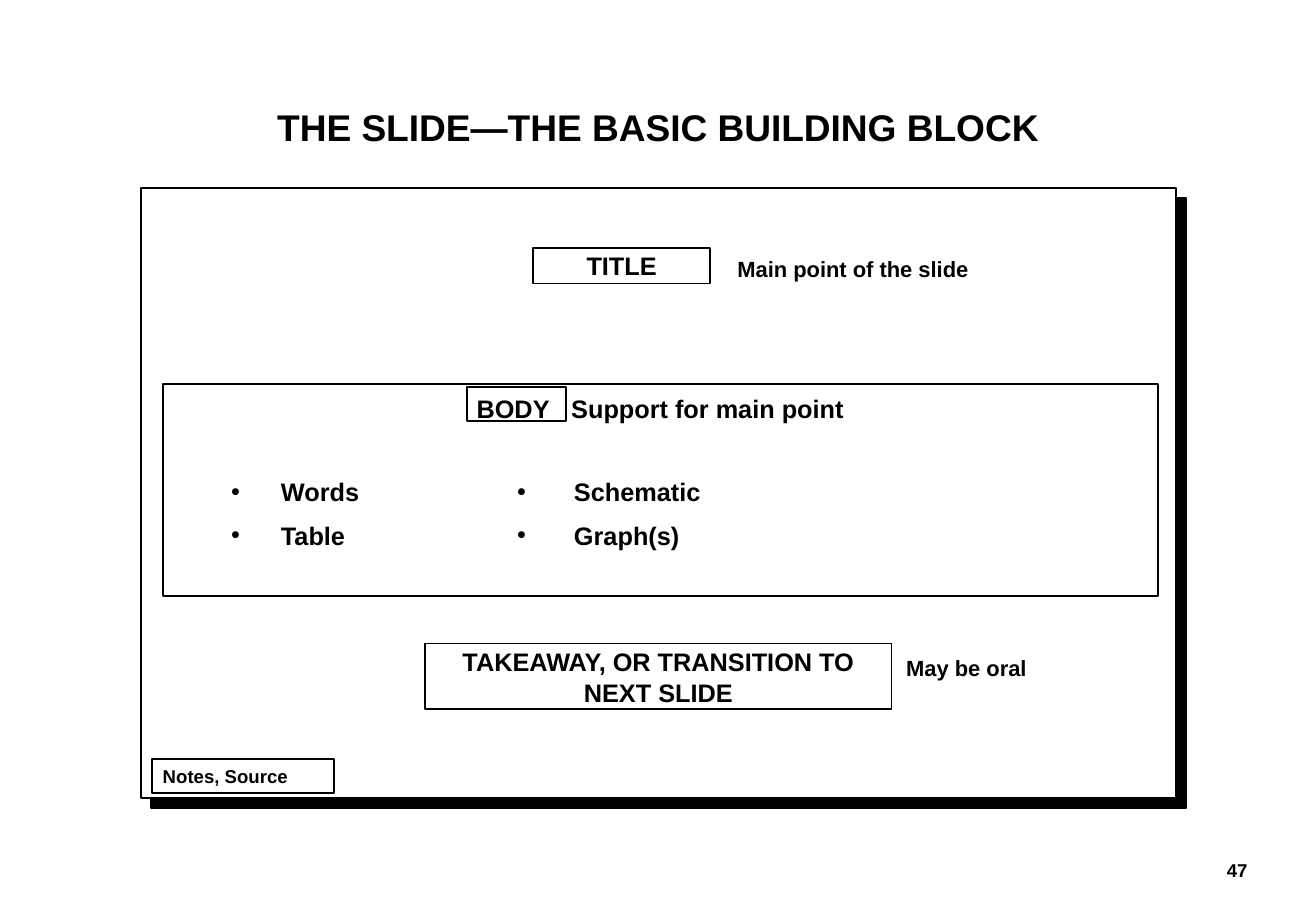
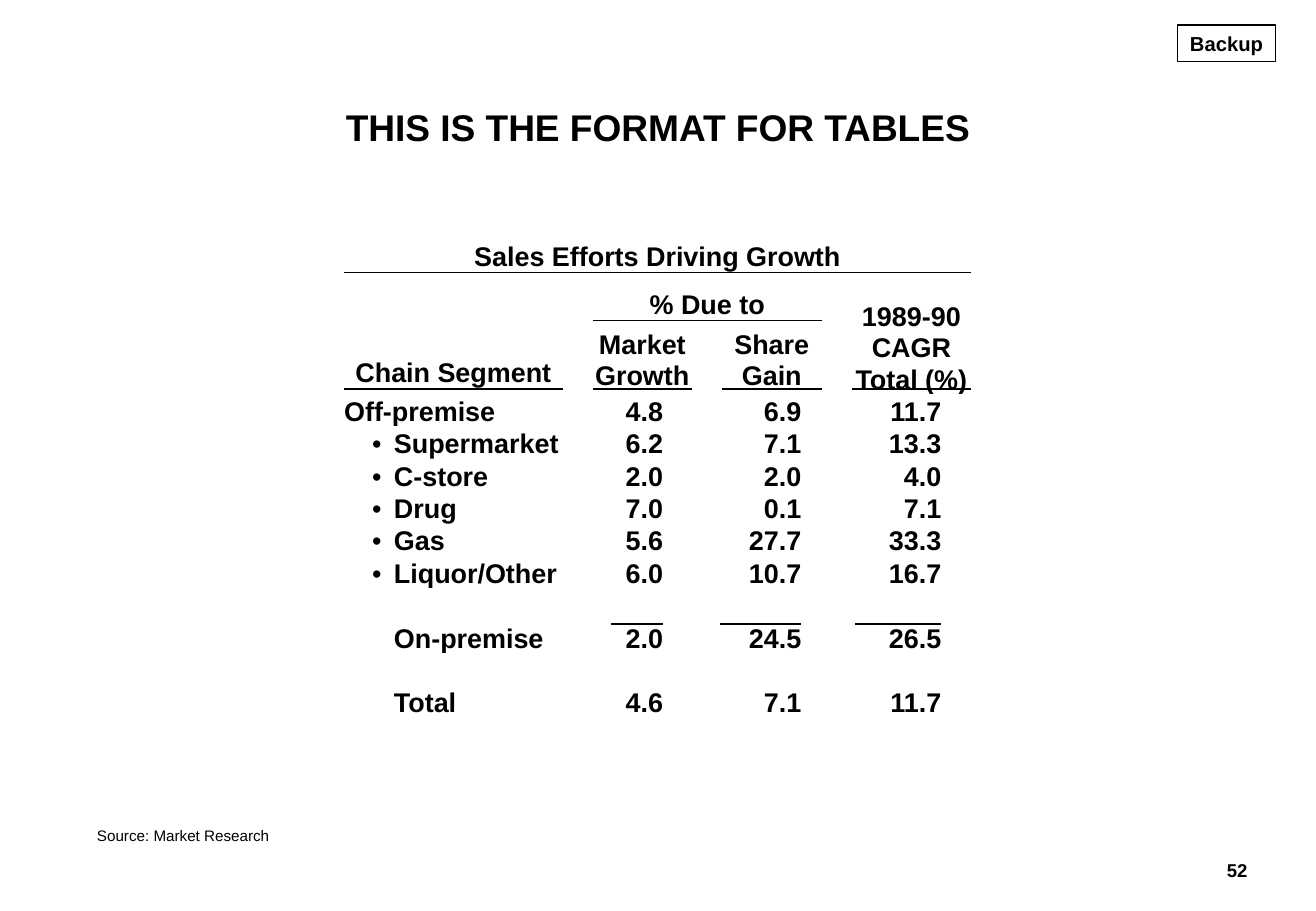
from lxml import etree
from pptx import Presentation
from pptx.dml.color import RGBColor
from pptx.enum.shapes import MSO_CONNECTOR, MSO_SHAPE
from pptx.enum.text import MSO_ANCHOR, MSO_AUTO_SIZE, PP_ALIGN
from pptx.oxml.ns import qn
from pptx.util import Pt

RECTANGLE = MSO_SHAPE.RECTANGLE
STRAIGHT = MSO_CONNECTOR.STRAIGHT
LEFT, CENTER, RIGHT = PP_ALIGN.LEFT, PP_ALIGN.CENTER, PP_ALIGN.RIGHT
TOP, MIDDLE, BOTTOM = MSO_ANCHOR.TOP, MSO_ANCHOR.MIDDLE, MSO_ANCHOR.BOTTOM
NO_FIT = MSO_AUTO_SIZE.NONE

INK = "000000"
PAPER = "FFFFFF"
FONT = "Arial"
SLIDE_WIDTH, SLIDE_HEIGHT = 780, 540
TITLE_TOP, TITLE_HEIGHT = 60, 30
TWO_CONTENT, TITLE_ONLY = 3, 5

COLUMN_WIDTHS = [138.5, 76.5, 77, 79.5]
ROW_HEIGHTS = [23.5, 28.5, 44] + [19.2] * 6 + [38.4] * 2
GUTTER = 9
NUMBER_MARGINS = [26, 21, 17.5]
RULE_WIDTHS = [31, 48, 51]
TABLE_INDENT, BULLET_HANG = 29.5, 13
SEGMENTS = [
    ("Off-premise", "4.8", "6.9", "11.7"),
    ("Supermarket", "6.2", "7.1", "13.3"),
    ("C-store", "2.0", "2.0", "4.0"),
    ("Drug", "7.0", "0.1", "7.1"),
    ("Gas", "5.6", "27.7", "33.3"),
    ("Liquor/Other", "6.0", "10.7", "16.7"),
    ("On-premise", "2.0", "24.5", "26.5"),
    ("Total", "4.6", "7.1", "11.7"),
]
BULLETED = SEGMENTS[1:6]


def color(code):
    """Turn a hex string into a colour."""
    return RGBColor.from_string(code)


def set_all(target, values):
    """Set every attribute in a dict of format values."""
    for name, value in values.items():
        setattr(target, name, value)


def indent(para, left, hang=0, bullet=False):
    """Indent a paragraph, with a hanging bullet if asked."""
    properties = para._p.get_or_add_pPr()
    properties.set("marL", str(Pt(left)))
    properties.set("indent", str(-Pt(hang)))
    if bullet:
        etree.SubElement(properties, qn("a:buFont")).set("typeface", FONT)
        etree.SubElement(properties, qn("a:buChar")).set("char", "•")


def write(para, text, size, align=LEFT, bold=True, spacing=1.0, before=0):
    """Write one formatted span into a paragraph."""
    set_all(para, {"alignment": align, "line_spacing": spacing,
                   "space_before": Pt(before), "space_after": Pt(0)})
    span = para.add_run()
    span.text = text
    set_all(span.font, {"name": FONT, "size": Pt(size), "bold": bold})
    span.font.color.rgb = color(INK)


def prepare(frame, anchor=MIDDLE, inset=3.6, top_inset=0):
    """Set the wrapping, anchor and insets of a text frame."""
    set_all(frame, {"word_wrap": True, "auto_size": NO_FIT, "vertical_anchor": anchor,
                    "margin_left": Pt(inset), "margin_right": Pt(inset),
                    "margin_top": Pt(top_inset), "margin_bottom": Pt(0)})


def place(shape, left, top, width, height):
    """Move and size a shape."""
    set_all(shape, {"left": Pt(left), "top": Pt(top),
                    "width": Pt(width), "height": Pt(height)})


def add_box(page, left, top, width, height, fill=None):
    """Add an outlined rectangle."""
    box = page.shapes.add_shape(RECTANGLE, Pt(left), Pt(top), Pt(width), Pt(height))
    box.shadow.inherit = False
    if fill:
        box.fill.solid()
        box.fill.fore_color.rgb = color(fill)
    else:
        box.fill.background()
    box.line.color.rgb = color(INK)
    box.line.width = Pt(1)
    return box


def add_boxed_text(page, bounds, text, size, align=CENTER, spacing=1.0, **frame_values):
    """Add an outlined rectangle with text."""
    frame = add_box(page, *bounds).text_frame
    prepare(frame, **frame_values)
    write(frame.paragraphs[0], text, size, align, spacing=spacing)


def add_label(page, bounds, text, size, align=LEFT, bold=True, inset=3.6):
    """Add a plain text box."""
    frame = page.shapes.add_textbox(*map(Pt, bounds)).text_frame
    prepare(frame, inset=inset)
    write(frame.paragraphs[0], text, size, align, bold)


def add_rule(page, start, end, y):
    """Add a thin horizontal line."""
    rule = page.shapes.add_connector(STRAIGHT, Pt(start), Pt(y), Pt(end), Pt(y))
    rule.line.color.rgb = color(INK)
    rule.line.width = Pt(1)
    etree.SubElement(rule._element.spPr, qn("a:effectLst"))


def add_page(deck, layout, title, title_width, number):
    """Add a slide with its title and page number."""
    page = deck.slides.add_slide(deck.slide_layouts[layout])
    heading = page.shapes.title
    place(heading, (SLIDE_WIDTH - title_width) / 2, TITLE_TOP, title_width, TITLE_HEIGHT)
    prepare(heading.text_frame)
    write(heading.text_frame.paragraphs[0], title, 22, CENTER)
    add_label(page, (692, 507, 51, 18), number, 11, RIGHT)
    return page


def add_frame(page, left, top, width, height):
    """Add the model slide's outline with its hard shadow, behind all else."""
    frame = add_box(page, left, top, width, height, PAPER)
    effects = frame._element.spPr.find(qn("a:effectLst"))
    shadow = etree.SubElement(effects, qn("a:outerShdw"), dist=str(Pt(8.5)),
                              dir="2700000", algn="ctr", rotWithShape="0")
    etree.SubElement(shadow, qn("a:srgbClr"), val=INK)
    page.shapes.element.insert(2, frame._element)


def fill_list(holder, bounds, items, hang):
    """Place a body placeholder and fill it with bullets."""
    place(holder, *bounds)
    frame = holder.text_frame
    prepare(frame, TOP, 0)
    for position, item in enumerate(items):
        para = frame.add_paragraph() if position else frame.paragraphs[0]
        indent(para, hang, hang, True)
        write(para, item, 15, before=7.7 if position else 0)


def add_body_region(page, left, top, width, height):
    """Add the body box with its heading and two lists."""
    add_box(page, left, top, width, height)
    add_boxed_text(page, (left + 180.5, top + 2, 58.5, 20), "BODY", 15, LEFT,
                   anchor=TOP, inset=5.5, top_inset=3.6)
    add_label(page, (left + 238.5, top + 4.5, 200, 20), "Support for main point", 15)
    lists = [(40.5, 29.5, ["Words", "Table"]), (210, 33.7, ["Schematic", "Graph(s)"])]
    for holder, (offset, hang, items) in zip(list(page.placeholders)[1:], lists):
        fill_list(holder, (left + offset, top + 55, 160, 46), items, hang)


def build_block_slide(deck):
    """Build the slide that shows the parts of a slide."""
    page = add_page(deck, TWO_CONTENT, "THE SLIDE—THE BASIC BUILDING BLOCK", 462, "47")
    left, top = 83.5, 111.5
    add_frame(page, left, top, 613.5, 361.5)
    add_boxed_text(page, (left + 232.5, top + 35.5, 105, 21), "TITLE", 15)
    add_label(page, (left + 350, top + 38, 160, 20), "Main point of the slide", 13)
    add_body_region(page, left + 13, top + 116, 590, 126)
    add_boxed_text(page, (left + 168.5, top + 270, 276.5, 39),
                   "TAKEAWAY, OR TRANSITION TO NEXT SLIDE", 15, spacing=1.03)
    add_label(page, (left + 450, top + 274, 106, 20), "May be oral", 13)
    add_boxed_text(page, (left + 6.5, top + 338.5, 108, 20), "Notes, Source", 11, LEFT,
                   inset=6.5)


def fill_cell(cell, text, align, left=0, right=0, bottom=0):
    """Fill a table cell and return its paragraph."""
    set_all(cell, {"vertical_anchor": BOTTOM, "margin_top": Pt(0), "margin_left": Pt(left),
                   "margin_right": Pt(right), "margin_bottom": Pt(bottom)})
    para = cell.text_frame.paragraphs[0]
    write(para, text, 16, align, spacing=1.04 if align == CENTER else 1.0)
    return para


def fill_header(table):
    """Merge and fill the heading cells."""
    for first, last in [((0, 0), (0, 3)), ((1, 0), (2, 0)), ((1, 1), (1, 2)), ((1, 3), (2, 3))]:
        table.cell(*first).merge(table.cell(*last))
    fill_cell(table.cell(0, 0), "Sales Efforts Driving Growth", CENTER)
    fill_cell(table.cell(1, 0), "Chain Segment", CENTER, 0, GUTTER, 3.8)
    fill_cell(table.cell(1, 1), "% Due to", CENTER, GUTTER, GUTTER)
    fill_cell(table.cell(2, 1), "Market Growth", CENTER, GUTTER, GUTTER, 2)
    fill_cell(table.cell(2, 2), "Share Gain", CENTER, GUTTER, GUTTER, 2)
    fill_cell(table.cell(1, 3), "1989-90 CAGR Total (%)", CENTER, GUTTER)


def fill_segments(table):
    """Fill one row for each chain segment."""
    for row, segment in enumerate(SEGMENTS, 3):
        name, *numbers = segment
        para = fill_cell(table.cell(row, 0), name, LEFT)
        if segment in BULLETED:
            indent(para, TABLE_INDENT, BULLET_HANG, True)
        elif row > 3:
            indent(para, TABLE_INDENT)
        for column, number in enumerate(numbers, 1):
            fill_cell(table.cell(row, column), number, RIGHT, 0, NUMBER_MARGINS[column - 1])


def add_table_rules(page, left, top):
    """Rule off the headings and the last two rows."""
    edges = [left + sum(COLUMN_WIDTHS[:count]) for count in range(5)]
    title_y = top + ROW_HEIGHTS[0]
    add_rule(page, edges[0], edges[4], title_y)
    add_rule(page, edges[1] + GUTTER, edges[3] - GUTTER, title_y + ROW_HEIGHTS[1])
    for column in range(4):
        start = edges[column] + (GUTTER if column else 0)
        end = edges[column + 1] - (GUTTER if column < 3 else 0)
        add_rule(page, start, end, top + 92.5)
    for edge, margin, width in zip(edges[2:], NUMBER_MARGINS, RULE_WIDTHS):
        add_rule(page, edge - margin - width, edge - margin, top + 232)


def add_growth_table(page, left, top):
    """Add the growth table with its rules."""
    graphic = page.shapes.add_table(len(ROW_HEIGHTS), len(COLUMN_WIDTHS), Pt(left), Pt(top),
                                    Pt(sum(COLUMN_WIDTHS)), Pt(sum(ROW_HEIGHTS)))
    table = graphic.table
    set_all(table, {"first_row": False, "horz_banding": False})
    for column, width in zip(table.columns, COLUMN_WIDTHS):
        column.width = Pt(width)
    for row, height in zip(table.rows, ROW_HEIGHTS):
        row.height = Pt(height)
    for cell in table.iter_cells():
        cell.fill.background()
    fill_header(table)
    fill_segments(table)
    add_table_rules(page, left, top)


def build_table_slide(deck):
    """Build the slide that shows the table format."""
    page = add_page(deck, TITLE_ONLY, "THIS IS THE FORMAT FOR TABLES", 381, "52")
    add_growth_table(page, 204, 138)
    add_label(page, (51, 486.5, 118, 17.5), "Source: Market Research", 9, bold=False, inset=6.5)
    add_boxed_text(page, (698, 15, 58, 21.5), "Backup", 12)


def main():
    """Build and save the deck."""
    deck = Presentation()
    set_all(deck, {"slide_width": Pt(SLIDE_WIDTH), "slide_height": Pt(SLIDE_HEIGHT)})
    build_block_slide(deck)
    build_table_slide(deck)
    deck.save("out.pptx")


if __name__ == "__main__":
    main()
